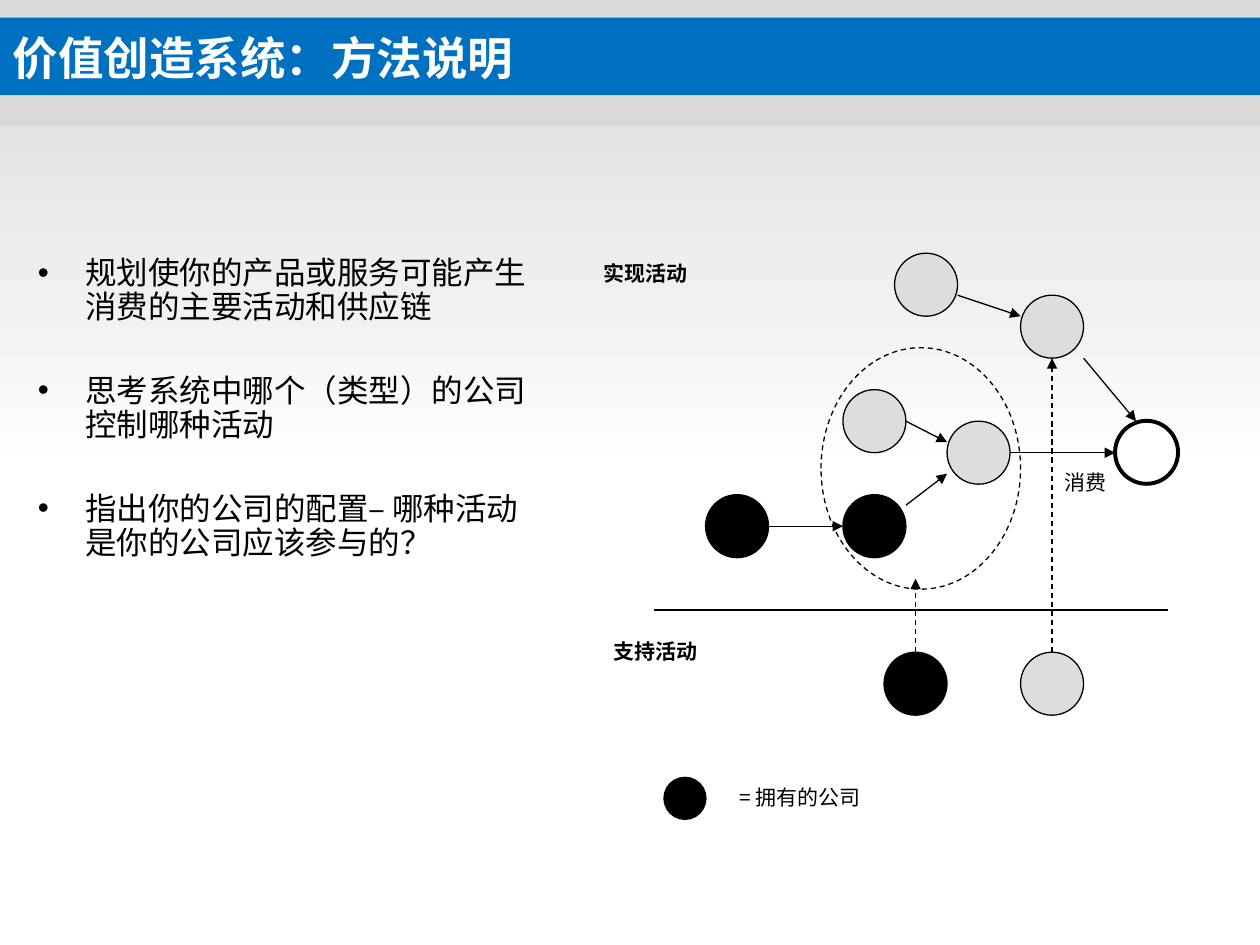
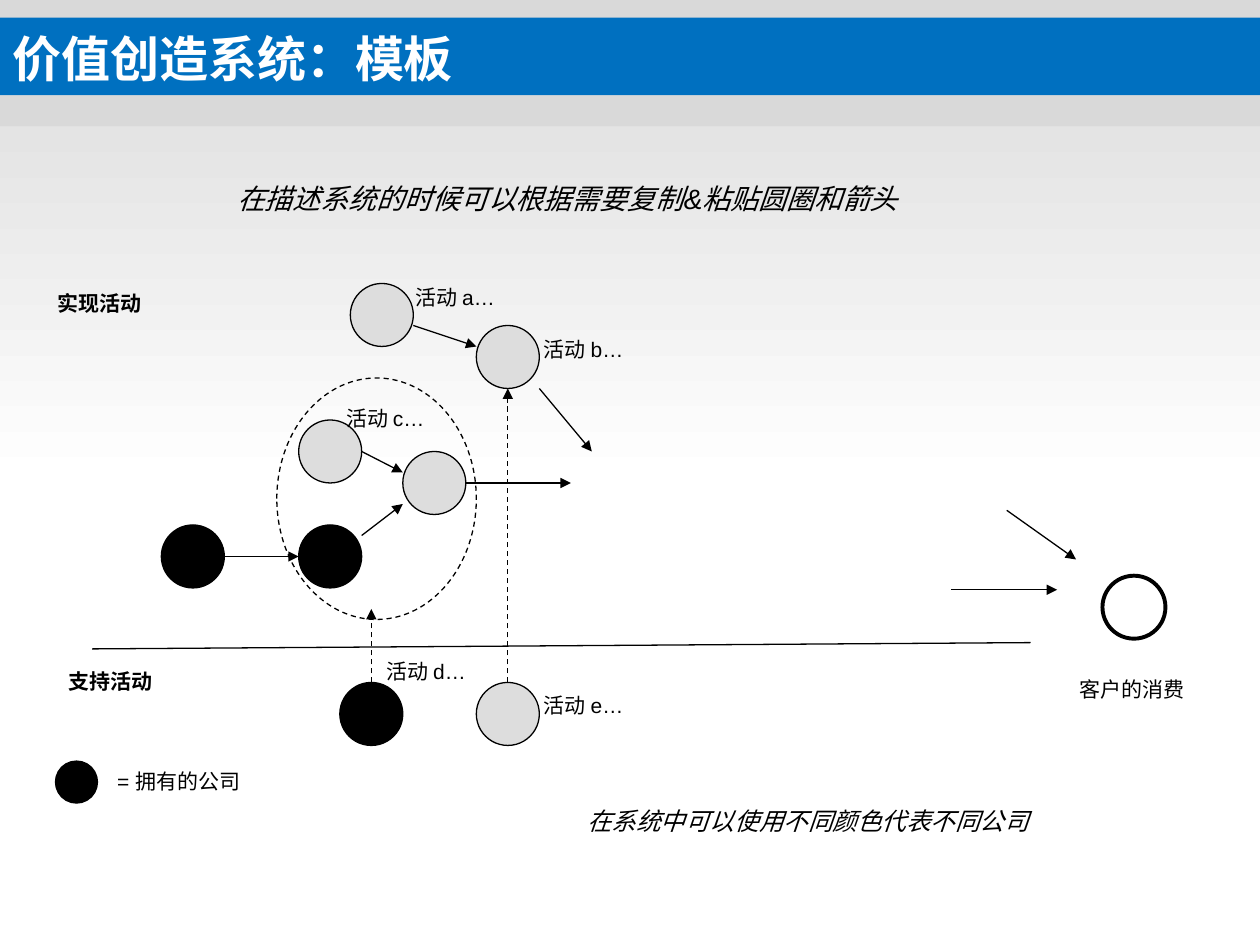
from dataclasses import dataclass

from lxml import etree
from pptx import Presentation
from pptx.dml.color import RGBColor
from pptx.enum.dml import MSO_LINE
from pptx.enum.shapes import MSO_CONNECTOR, MSO_SHAPE
from pptx.enum.text import MSO_ANCHOR, MSO_AUTO_SIZE, PP_ALIGN
from pptx.oxml.ns import qn
from pptx.util import Pt

RECT, OVAL = MSO_SHAPE.RECTANGLE, MSO_SHAPE.OVAL
LEFT, CENTER, RIGHT = PP_ALIGN.LEFT, PP_ALIGN.CENTER, PP_ALIGN.RIGHT
TOP, MIDDLE = MSO_ANCHOR.TOP, MSO_ANCHOR.MIDDLE
DASH = MSO_LINE.DASH
STRAIGHT = MSO_CONNECTOR.STRAIGHT
NO_FIT = MSO_AUTO_SIZE.NONE


@dataclass(frozen=True)
class Theme:
    blue: str = "0070C0"
    band: str = "D9D9D9"
    gray: str = "DDDDDD"
    black: str = "000000"
    white: str = "FFFFFF"
    latin: str = "Arial"
    han: str = "Noto Sans CJK SC"
    label: int = 12
    note: int = 14
    hint: int = 16
    body: int = 18
    thin: float = 0.75
    thick: float = 2.25
    node: int = 36
    key: int = 24
    lead: float = 1.25


T = Theme()

# Flow parts are relative to the flow's own origin.
NODES = [
    (108, 0, T.gray), (180, 24, T.gray), (78.5, 78, T.gray),
    (138, 96, T.gray), (78.5, 138, T.black), (0, 138, T.black),
    (102, 228, T.black), (180, 228, T.gray),
]
GROUP = (66, 54, 114, 138)
FLOWS = [
    (114.5, 144, 138, 126), (174, 114, 234, 114), (114.5, 96, 138, 108),
    (144, 24, 180, 36), (216, 60, 246, 96), (36, 156, 78.5, 156),
]
HELPS = [(120, 228, 120, 186), (198, 228, 198, 60)]

POINTS = [
    "规划使你的产品或服务可能产生消费的主要活动和供应链",
    "思考系统中哪个（类型）的公司控制哪种活动",
    "指出你的公司的配置– 哪种活动是你的公司应该参与的？",
]

# Labels: text, left, top, width
METHOD = {
    "title": "价值创造系统：方法说明", "size": 26, "font": T.han,
    "points": POINTS,
    "origin": (403.2, 144.7), "buyer": (637.2, 240.5),
    "split": (373.7, 348.5, 667.4, 348.5), "key": (379.4, 444.2),
    "heads": [("实现活动", 337.7, 144.7, 126), ("支持活动", 343.4, 360.7, 126)],
    "labels": [("消费", 601.2, 264.2, 104), ("= 拥有的公司", 415.4, 444.2, 126)],
    "notes": [], "inputs": [],
}
MODEL = {
    "title": "价值创造系统：模板", "size": 28, "font": T.latin,
    "points": [],
    "origin": (92.2, 162), "buyer": (630, 329),
    "split": (52.6, 370.8, 589, 367.2), "key": (31.7, 434.9),
    "heads": [("实现活动", 25.9, 162, 126), ("支持活动", 32, 378, 126)],
    "labels": [
        ("= 拥有的公司", 59.8, 434.9, 126),
        ("活动 a…", 230.4, 158.4, 91), ("活动 b…", 303.8, 187.9, 91),
        ("活动 c…", 190.8, 227.5, 91), ("活动 d…", 213.8, 372.2, 91),
        ("活动 e…", 303.8, 391.7, 91), ("客户的消费", 609.8, 382.3, 91),
    ],
    "notes": [
        ("在描述系统的时候可以根据需要复制&粘贴圆圈和箭头",
         26.6, 99.4, 595.5, T.hint, CENTER),
        ("在系统中可以使用不同颜色代表不同公司",
         291.6, 456.5, 303.8, T.note, RIGHT),
    ],
    "inputs": [(575.3, 291.6, 614.9, 319.7), (543.6, 337, 604.1, 337)],
}


def rgb(color):
    return RGBColor.from_string(color)


def place(shape, x, y, w, h):
    shape.left, shape.top, shape.width, shape.height = map(Pt, (x, y, w, h))


def frame(shape, anchor=TOP):
    box = shape.text_frame
    box.word_wrap = True
    box.auto_size = NO_FIT
    box.vertical_anchor = anchor
    return box


def write(para, text, size, font, color=T.black, bold=False, slant=False,
          align=LEFT, lead=T.lead):
    para.alignment = align
    para.line_spacing = Pt(round(size * lead, 1))
    para.space_before = Pt(0)
    run = para.add_run()
    run.text = text
    face = run.font
    face.name, face.size = font, Pt(size)
    face.bold, face.italic = bold, slant
    face.color.rgb = rgb(color)
    props = run._r.get_or_add_rPr()
    etree.SubElement(props, qn("a:ea")).set("typeface", T.han)


def label(slide, text, x, y, w, font, size=T.label, **style):
    box = slide.shapes.add_textbox(Pt(x), Pt(y), Pt(w), Pt(size * 1.8))
    write(frame(box).paragraphs[0], text, size, font, **style)


def shape(slide, kind, x, y, w, h, fill=None, line=None, width=T.thin):
    item = slide.shapes.add_shape(kind, Pt(x), Pt(y), Pt(w), Pt(h))
    item.shadow.inherit = False
    if fill:
        item.fill.solid()
        item.fill.fore_color.rgb = rgb(fill)
    else:
        item.fill.background()
    if line:
        item.line.color.rgb = rgb(line)
        item.line.width = Pt(width)
    else:
        item.line.fill.background()
    return item


def disc(slide, x, y, fill, size=T.node, width=T.thin):
    shape(slide, OVAL, x, y, size, size, fill, T.black, width)


def link(slide, ends, dash=False, arrow=True):
    wire = slide.shapes.add_connector(STRAIGHT, *map(Pt, ends))
    wire.line.color.rgb = rgb(T.black)
    wire.line.width = Pt(T.thin)
    if dash:
        wire.line.dash_style = DASH
    if arrow:
        line = wire.line._get_or_add_ln()
        etree.SubElement(line, qn("a:tailEnd")).set("type", "triangle")
    etree.SubElement(wire._element.spPr, qn("a:effectLst"))


def dress(deck, slide):
    """Put the shaded backdrop and the band on the master."""
    shade = shape(slide, RECT, 0, 0, 720, 275.8)
    shade.fill.gradient()
    shade.fill.gradient_angle = 270
    for stop, (spot, color) in zip(shade.fill.gradient_stops,
                                   [(0, T.band), (1, T.white)]):
        stop.position = spot
        stop.color.rgb = rgb(color)
    band = shape(slide, RECT, 0, 54.7, 720, 17.3, T.band)
    tree = deck.slide_master.shapes._spTree
    for rank, part in enumerate((shade, band), 2):
        tree.insert(rank, part._element)


def head(slide, text, size):
    title = slide.shapes.title
    place(title, 0, 10.1, 720, 44.3)
    title.fill.solid()
    title.fill.fore_color.rgb = rgb(T.blue)
    write(frame(title, MIDDLE).paragraphs[0], text, size, T.latin,
          T.white, bold=True)


def bullets(slide, points, font):
    body = slide.placeholders[1]
    place(body, 14.4, 143.3, 297.4, 311.8)
    box = frame(body)
    for rank, text in enumerate(points):
        para = box.add_paragraph() if rank else box.paragraphs[0]
        write(para, text, T.body, font, lead=1.08)
        if rank:
            para.space_before = Pt(28.5)
        props = para._p.get_or_add_pPr()
        props.set("marL", str(Pt(27)))
        props.set("indent", str(-Pt(27)))
        etree.SubElement(props, qn("a:buFont")).set("typeface", T.latin)
        etree.SubElement(props, qn("a:buChar")).set("char", "•")


def chain(slide, page):
    """Draw the activity flow at the page's origin."""
    dx, dy = page["origin"]

    def shift(ends):
        x1, y1, x2, y2 = ends
        return x1 + dx, y1 + dy, x2 + dx, y2 + dy

    for x, y, fill in NODES:
        disc(slide, x + dx, y + dy, fill)
    disc(slide, *page["buyer"], T.white, width=T.thick)
    disc(slide, *page["key"], T.black, T.key)
    for ends in HELPS:
        link(slide, shift(ends), dash=True)
    x, y, w, h = GROUP
    ring = shape(slide, OVAL, x + dx, y + dy, w, h, line=T.black)
    ring.line.dash_style = DASH
    for ends in [*map(shift, FLOWS), *page["inputs"]]:
        link(slide, ends)
    link(slide, page["split"], arrow=False)


def build(deck, page):
    layout = deck.slide_layouts[1 if page["points"] else 5]
    slide = deck.slides.add_slide(layout)
    font = page["font"]
    head(slide, page["title"], page["size"])
    if page["points"]:
        bullets(slide, page["points"], font)
    chain(slide, page)
    for item in page["heads"]:
        label(slide, *item, font, bold=True)
    for item in page["labels"]:
        label(slide, *item, font)
    for text, x, y, w, size, align in page["notes"]:
        label(slide, text, x, y, w, font, size, slant=True, align=align)
    return slide


def main():
    deck = Presentation()
    deck.slide_width, deck.slide_height = Pt(720), Pt(540)
    slides = [build(deck, page) for page in (METHOD, MODEL)]
    dress(deck, slides[0])
    deck.save("out.pptx")


if __name__ == "__main__":
    main()
